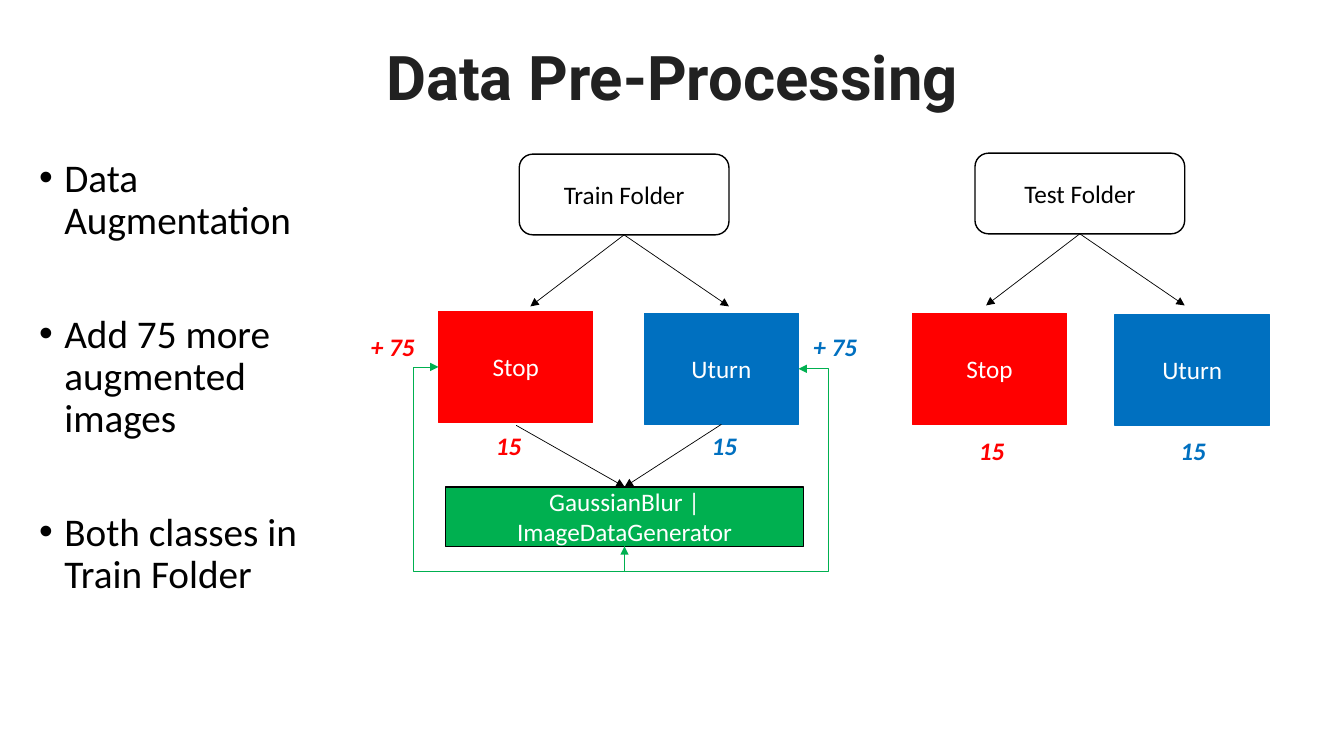
from dataclasses import dataclass

from lxml import etree
from pptx import Presentation
from pptx.dml.color import RGBColor
from pptx.enum.shapes import MSO_CONNECTOR as Link, MSO_SHAPE as Shape
from pptx.enum.text import MSO_ANCHOR as Anchor, PP_ALIGN as Align
from pptx.oxml.ns import qn
from pptx.util import Inches, Pt

TOP, LEFT, BOTTOM, RIGHT = range(4)


@dataclass(frozen=True)
class Theme:
    heading_font: str = "Roboto"
    body_font: str = "Calibri"
    heading: str = "212121"
    black: str = "000000"
    white: str = "FFFFFF"
    stop: str = "FF0000"
    uturn: str = "0070C0"
    augment: str = "00B050"
    heading_size: int = 44
    bullet_size: int = 28
    label_size: int = 18


class SlideBuilder:
    def __init__(self, slide, theme):
        self.shapes = slide.shapes
        self.theme = theme

    def add_span(self, para, text, size, color, font=None, bold=False, italic=False):
        span = para.add_run()
        span.text = text
        span.font.name = font or self.theme.body_font
        span.font.size = Pt(size)
        span.font.color.rgb = RGBColor.from_string(color)
        span.font.bold = bold
        span.font.italic = italic

    def text_frame(self, left, top, width, height):
        box = self.shapes.add_textbox(*map(Inches, (left, top, width, height)))
        box.text_frame.word_wrap = True
        return box.text_frame

    def title(self, text, *area):
        frame = self.text_frame(*area)
        frame.vertical_anchor = Anchor.MIDDLE
        para = frame.paragraphs[0]
        para.alignment = Align.CENTER
        para.line_spacing = 0.9
        theme = self.theme
        self.add_span(para, text, theme.heading_size, theme.heading,
                      theme.heading_font, bold=True)

    def bullets(self, items, *area):
        frame = self.text_frame(*area)
        for index, item in enumerate(items):
            para = frame.add_paragraph() if index else frame.paragraphs[0]
            para.line_spacing = 0.9
            para.space_before = Pt(51 if index else 10)
            props = para._p.get_or_add_pPr()
            props.set("marL", str(Inches(0.25)))
            props.set("indent", str(Inches(-0.25)))
            etree.SubElement(props, qn("a:buFont")).set("typeface", "Arial")
            etree.SubElement(props, qn("a:buChar")).set("char", "•")
            self.add_span(para, item, self.theme.bullet_size, self.theme.black)

    def count(self, text, color, left, top, width):
        para = self.text_frame(left, top, width, 0.4).paragraphs[0]
        self.add_span(para, text, self.theme.label_size, color, bold=True, italic=True)

    def block(self, text, area, fill, line, color, kind=Shape.RECTANGLE):
        box = self.shapes.add_shape(kind, *map(Inches, area))
        box.shadow.inherit = False
        box.fill.solid()
        box.fill.fore_color.rgb = RGBColor.from_string(fill)
        box.line.color.rgb = RGBColor.from_string(line)
        box.line.width = Pt(1)
        frame = box.text_frame
        frame.word_wrap = True
        frame.vertical_anchor = Anchor.MIDDLE
        para = frame.paragraphs[0]
        para.alignment = Align.CENTER
        self.add_span(para, text, self.theme.label_size, color)
        return box

    def folder(self, text, left, top):
        theme = self.theme
        return self.block(text, (left, top, 2.08, 0.8), theme.white, theme.black,
                          theme.black, Shape.ROUNDED_RECTANGLE)

    def sign_class(self, text, color, left, top):
        return self.block(text, (left, top, 1.53, 1.1), color, color, self.theme.white)

    def style_line(self, connector, color, ends=("tailEnd",)):
        connector.line.color.rgb = RGBColor.from_string(color)
        connector.line.width = Pt(0.5)
        outline = connector.line._get_or_add_ln()
        for end in ends:
            etree.SubElement(outline, qn(f"a:{end}")).set("type", "triangle")
        etree.SubElement(connector._element.spPr, qn("a:effectLst"))

    def arrow(self, start, end, source=None, target=None):
        """Straight arrow, joined to the bottom of source and the top of target."""
        arrow = self.shapes.add_connector(Link.STRAIGHT, *map(Inches, start + end))
        if source is not None:
            arrow.begin_connect(source, BOTTOM)
        if target is not None:
            arrow.end_connect(target, TOP)
        self.style_line(arrow, self.theme.black)

    def feedback(self, source, target, side, drop, reach, ends=("tailEnd",)):
        """Elbow from the bottom of source, round to the outer side of target."""
        elbow = self.shapes.add_connector(Link.ELBOW, 0, 0, 0, 0)
        elbow.begin_connect(source, BOTTOM)
        elbow.end_connect(target, side)
        start_x, start_y = elbow.begin_x, elbow.begin_y
        end_x, end_y = elbow.end_x, elbow.end_y
        # The frame is turned a quarter, so rise is its width and run its height.
        rise, run = start_y - end_y, abs(end_x - start_x)
        elbow.left = (start_x + end_x - rise) // 2
        elbow.top = (start_y + end_y - run) // 2
        elbow.width, elbow.height = rise, run
        props = elbow._element.spPr
        frame = props.find(qn("a:xfrm"))
        frame.set("rot", "5400000")
        frame.set("flipH", "1")
        frame.set("flipV", "1" if side == RIGHT else "0")
        geometry = props.find(qn("a:prstGeom"))
        geometry.set("prst", "bentConnector4")
        guides = geometry.find(qn("a:avLst"))
        if guides is None:
            guides = etree.SubElement(geometry, qn("a:avLst"))
        ratios = (-Inches(drop) / rise, 1 + Inches(reach) / run)
        for number, ratio in enumerate(ratios, 1):
            guide = etree.SubElement(guides, qn("a:gd"))
            guide.set("name", f"adj{number}")
            guide.set("fmla", f"val {round(ratio * 100000)}")
        self.style_line(elbow, self.theme.augment, ends)


def main():
    deck = Presentation()
    deck.slide_width, deck.slide_height = Inches(13.33), Inches(7.5)
    theme = Theme()
    page = SlideBuilder(deck.slides.add_slide(deck.slide_layouts[6]), theme)

    page.title("Data Pre-Processing", 0.92, 0.07, 11.5, 1.45)
    page.bullets(["Data Augmentation", "Add 75 more augmented images",
                  "Both classes in Train Folder"], 0.29, 1.52, 2.96, 4.76)

    # Folder name, its corner, the corners of both classes, top of the counts
    trees = [
        ("Train Folder", (5.15, 1.53), (4.35, 3.09), (6.39, 3.11), (4.82, 6.96), 4.22),
        ("Test Folder", (9.67, 1.52), (9.05, 3.11), (11.06, 3.12), (9.61, 11.61), 4.27),
    ]
    classes = []
    for name, corner, stop_corner, uturn_corner, count_lefts, count_top in trees:
        folder = page.folder(name, *corner)
        middle, bottom = corner[0] + 1.04, corner[1] + 0.8
        for shift in (-0.93, 1.04):
            page.arrow((middle, bottom), (middle + shift, bottom + 0.71), source=folder)
        classes.append((page.sign_class("Stop", theme.stop, *stop_corner),
                        page.sign_class("Uturn", theme.uturn, *uturn_corner)))
        for color, left, width in zip((theme.stop, theme.uturn), count_lefts, (0.59, 0.54)):
            page.count("15", color, left, count_top, width)

    stop, uturn = classes[0]
    augment = page.block("GaussianBlur | ImageDataGenerator", (4.42, 4.83, 3.55, 0.59),
                         theme.augment, theme.black, theme.white)
    page.arrow((5.12, 4.22), (6.19, 4.83), target=augment)
    page.arrow((7.15, 4.21), (6.19, 4.83), source=uturn, target=augment)
    page.feedback(augment, stop, LEFT, 0.25, 0.25, ("headEnd", "tailEnd"))
    page.feedback(augment, uturn, RIGHT, 0.25, 0.3)
    for color, left in ((theme.stop, 3.58), (theme.uturn, 7.97)):
        page.count("+ 75", color, left, 3.24, 0.67)

    deck.save("out.pptx")


if __name__ == "__main__":
    main()
